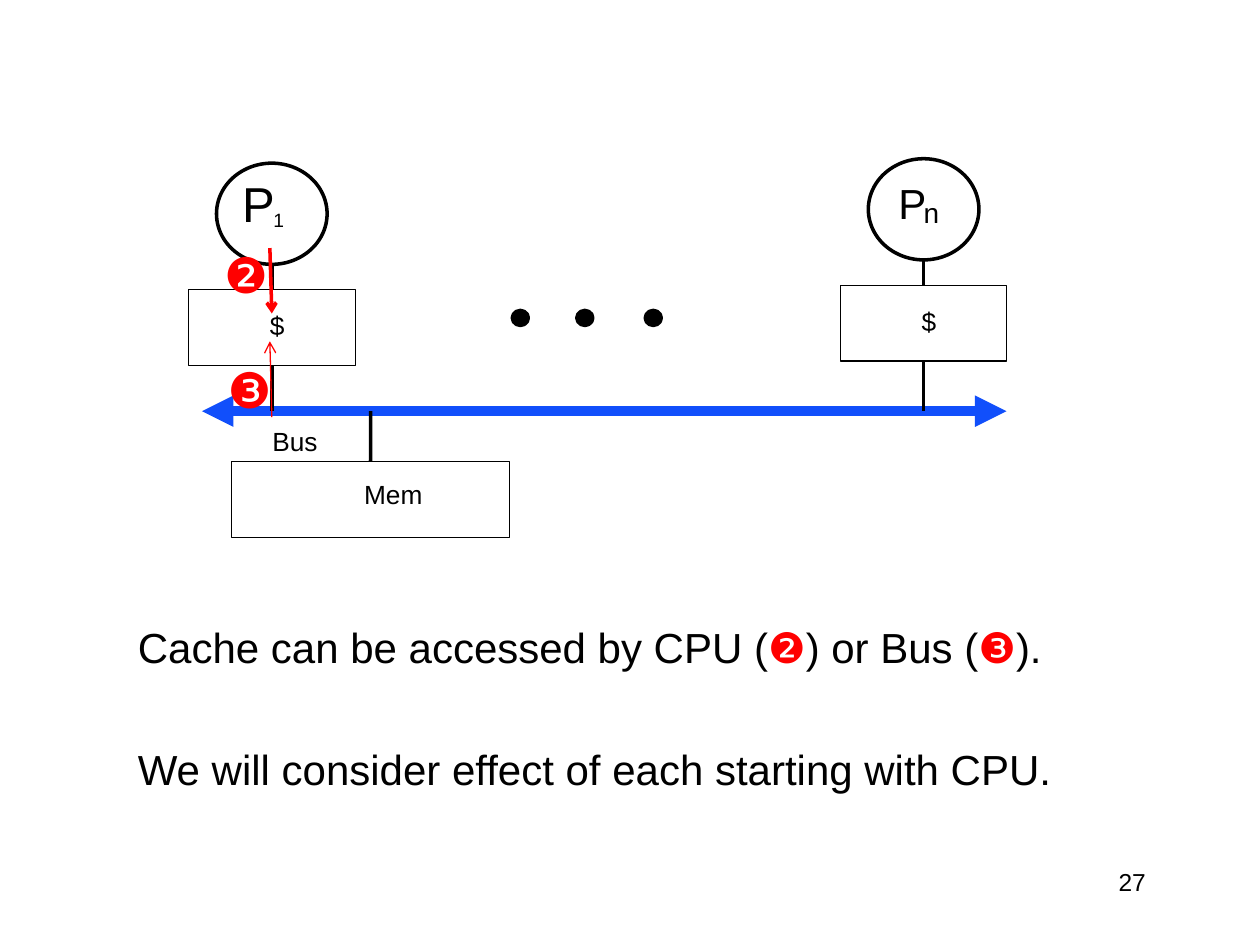
from pptx import Presentation, util as u
from pptx.dml.color import RGBColor
from pptx.enum import shapes, text
from pptx.oxml.ns import qn
from lxml import etree

THEME = {
    "font": "Arial", "ink": "000000", "paper": "FFFFFF", "bus": "114FFB", "access": "FF0000",
    "caption": 24, "badge": 28, "label": 15, "page": 14,
    "thin": 0.62, "wire": 2, "thick": 6, "dot": 2.64, "faint": 0.75,
}

# Content; all lengths are in centimetres
CPU, BUS = "❷", "❸"
CAPTION = [
    [("Cache can be accessed by CPU (", "ink"), (CPU, "access"), (") or Bus (", "ink"),
     (BUS, "access"), (").", "ink")],
    [("We will consider effect of each starting with CPU.", "ink")],
]
# centre, top, then letter and subscript as (text, size, left, top)
PROCESSORS = [
    (5.48, 3.29, ("P", 28, 4.88, 3.5), ("1", 11, 5.51, 4.19)),
    (18.62, 3.2, ("P", 24, 18.11, 3.58), ("n", 16, 18.62, 3.95)),
]
CIRCLE, CACHE, MEMORY, DOT = (2.23, 2.04), (3.36, 1.53), (5.6, 1.53), (0.3, 0.28)
CACHE_DROP = 2.55  # from circle top to cache top
BUS_LEFT, BUS_RIGHT, BUS_Y = 4.07, 20.29, 8.29
MEMORY_CENTRE, MEMORY_TOP = 7.47, 9.3
DOT_CENTRES, DOT_TOP = (10.49, 11.79, 13.17), 6.27
# badge, box corner, arrow start, arrow end, line width
ACCESSES = [
    (CPU, (4.27, 4.8), (5.44, 5), (5.48, 6.32), "wire"),
    (BUS, (4.34, 7.11), (5.48, 8.41), (5.44, 6.88), "faint"),
]

deck = Presentation()
deck.slide_width, deck.slide_height = u.Cm(25.4), u.Cm(19.05)
slide = deck.slides.add_slide(deck.slide_layouts[6])


def color(name):
    return RGBColor.from_string(THEME[name])


def add_text(paragraphs, size, left, top, width, height, inset=(0, 0), wrap=False):
    box = slide.shapes.add_textbox(u.Cm(left), u.Cm(top), u.Cm(width), u.Cm(height))
    frame = box.text_frame
    frame.word_wrap = wrap
    frame.margin_left = frame.margin_right = u.Cm(inset[0])
    frame.margin_top = frame.margin_bottom = u.Cm(inset[1])
    for i, runs in enumerate(paragraphs):
        paragraph = frame.add_paragraph() if i else frame.paragraphs[0]
        for words, ink in runs:
            run = paragraph.add_run()
            run.text = words
            run.font.name, run.font.size = THEME["font"], u.Pt(size)
            run.font.color.rgb = color(ink)
    return frame


def add_label(words, size, left, top):
    line = size * 1.2 * 2.54 / 72
    add_text([[(words, "ink")]], size, left, top, 0.75 * len(words) * line, line)


def add_block(kind, centre, top, size, width, fill="paper"):
    block = slide.shapes.add_shape(kind, u.Cm(centre - size[0] / 2), u.Cm(top),
                                   u.Cm(size[0]), u.Cm(size[1]))
    block.shadow.inherit = False
    block.fill.solid()
    block.fill.fore_color.rgb = color(fill)
    block.line.color.rgb = color("ink")
    block.line.width = u.Pt(THEME[width])
    return block


def add_wire(start, end, ink="ink", width="wire", head=None, tail=None):
    wire = slide.shapes.add_connector(shapes.MSO_CONNECTOR.STRAIGHT,
                                      *(u.Cm(v) for v in (*start, *end)))
    wire.line.color.rgb = color(ink)
    wire.line.width = u.Pt(THEME[width])
    outline = wire.line._get_or_add_ln()
    for tag, arrow in (("a:headEnd", head), ("a:tailEnd", tail)):
        if arrow:
            etree.SubElement(outline, qn(tag), type=arrow)
    etree.SubElement(wire._element.spPr, qn("a:effectLst"))
    return wire


# Caption and page number
caption = add_text(CAPTION, THEME["caption"], 1.57, 12.4, 20.42, 4.06, (0.25, 0.13), True)
for paragraph in caption.paragraphs:
    paragraph._p.get_or_add_pPr().set("marL", str(u.Cm(0.96)))
caption.paragraphs[1].space_before = u.Pt(41)
page = add_text([[("27", "ink")]], THEME["page"], 18.1, 17.35, 5.25, 1.27, (0.25, 0.13), True)
page.paragraphs[0].alignment = text.PP_ALIGN.RIGHT

# Bus and memory
RECTANGLE, OVAL = shapes.MSO_SHAPE.RECTANGLE, shapes.MSO_SHAPE.OVAL
add_wire((BUS_LEFT, BUS_Y), (BUS_RIGHT, BUS_Y), "bus", "thick", "triangle", "triangle")
add_label("Bus", THEME["label"], 5.49, 8.58)
memory = add_block(RECTANGLE, MEMORY_CENTRE, MEMORY_TOP, MEMORY, "thin")
add_wire((MEMORY_CENTRE, BUS_Y), (MEMORY_CENTRE, MEMORY_TOP)).end_connect(memory, 0)
add_label("Mem", THEME["label"], 7.34, 9.65)

# Processors with their caches
for centre, top, letter, subscript in PROCESSORS:
    cache_top = top + CACHE_DROP
    add_block(OVAL, centre, top, CIRCLE, "wire")
    cache = add_block(RECTANGLE, centre, cache_top, CACHE, "thin")
    add_wire((centre, top + CIRCLE[1]), (centre, cache_top)).end_connect(cache, 0)
    add_wire((centre, cache_top + CACHE[1]), (centre, BUS_Y)).begin_connect(cache, 2)
    add_label(*letter)
    add_label(*subscript)
    add_label("$", THEME["label"], centre - 0.04, cache_top + 0.4)

# Dots standing for the processors between
for centre in DOT_CENTRES:
    add_block(OVAL, centre, DOT_TOP, DOT, "dot", "ink")

# Cache accesses
for badge, corner, start, end, width in ACCESSES:
    add_wire(start, end, "access", width, tail="arrow")
    add_text([[(badge, "access")]], THEME["badge"], *corner, 1.37, 1.45, (0.25, 0.13))

deck.save("out.pptx")
